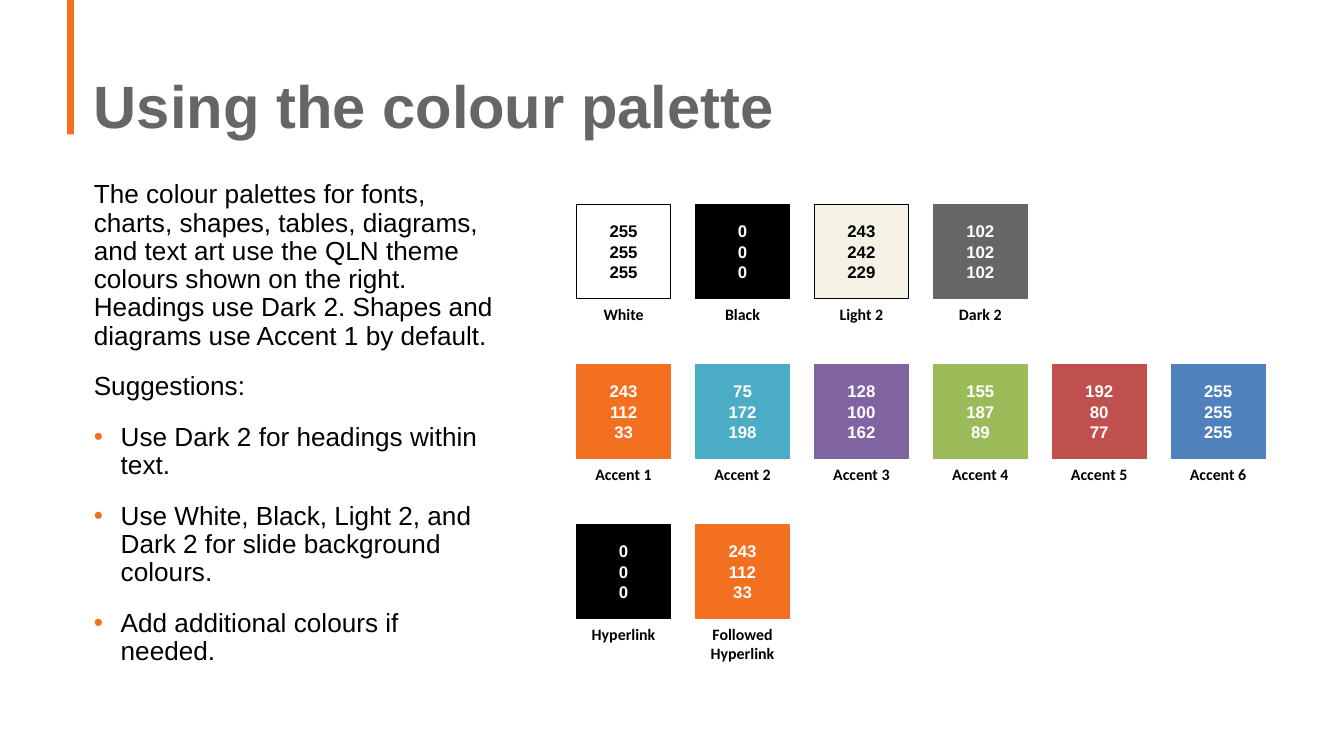
"""Build the colour palette slide."""
from lxml import etree
from pptx import Presentation
from pptx.dml.color import RGBColor
from pptx.enum import shapes, text
from pptx.oxml.ns import qn
from pptx.util import Pt

THEME = {
    "white": "FFFFFF", "black": "000000", "light": "F3F2E5", "dark": "666666",
    "orange": "F37021", "teal": "4BACC6", "purple": "8064A2",
    "green": "9BBB59", "red": "C0504D", "blue": "4F81BD",
    "sans": "Arial", "label": "Calibri",
    "head": 32, "body": 14, "value": 9, "name": 8.5,
}
TITLE = "Using the colour palette"
INTRO = [
    "The colour palettes for fonts, charts, shapes, tables, diagrams, and "
    "text art use the QLN theme colours shown on the right. Headings use "
    "Dark 2. Shapes and diagrams use Accent 1 by default.",
    "Suggestions:",
]
TIPS = [
    "Use Dark 2 for headings within text.",
    "Use White, Black, Light 2, and Dark 2 for slide background colours.",
    "Add additional colours if needed.",
]
ROWS = [
    [("White", "white", (255, 255, 255)), ("Black", "black", (0, 0, 0)),
     ("Light 2", "light", (243, 242, 229)), ("Dark 2", "dark", (102, 102, 102))],
    [("Accent 1", "orange", (243, 112, 33)), ("Accent 2", "teal", (75, 172, 198)),
     ("Accent 3", "purple", (128, 100, 162)), ("Accent 4", "green", (155, 187, 89)),
     ("Accent 5", "red", (192, 80, 77)), ("Accent 6", "blue", (255, 255, 255))],
    [("Hyperlink", "black", (0, 0, 0)),
     ("Followed Hyperlink", "orange", (243, 112, 33))],
]
PALE = ("white", "light")
LEFT, TOP, SIDE = 308.9, 109.5, 50.4
STEP, DROP = 63.7, 85.7
MID, BASE = text.MSO_ANCHOR.MIDDLE, text.MSO_ANCHOR.BOTTOM
CENTRE = text.PP_ALIGN.CENTER


def tint(key):
    return RGBColor.from_string(THEME[key])


def apply(item, vals):
    for key, val in vals.items():
        setattr(item, key, val)


def write(shape, lines, face, size, ink, frame=None, para=None, bold=True):
    body = shape.text_frame
    apply(body, {"word_wrap": True, **(frame or {})})
    for num, line in enumerate(lines):
        part = body.add_paragraph() if num else body.paragraphs[0]
        part.text = line
        apply(part, para or {})
        if num == 0:
            part.space_before = Pt(0)
        apply(part.font, {"name": THEME[face], "size": Pt(THEME[size]), "bold": bold})
        part.font.color.rgb = tint(ink)
    return body


def block(slide, spot, fill, edge=None):
    shape = slide.shapes.add_shape(shapes.MSO_SHAPE.RECTANGLE, *map(Pt, spot))
    shape.shadow.inherit = False
    shape.fill.solid()
    shape.fill.fore_color.rgb = tint(fill)
    if edge:
        shape.line.color.rgb = tint(edge)
        shape.line.width = Pt(0.25)
    else:
        shape.line.fill.background()
    return shape


def box(slide, *spot):
    return slide.shapes.add_textbox(*map(Pt, spot))


def bullet(part):
    props = part._p.get_or_add_pPr()
    apply_ind = {"marL": Pt(14.4), "indent": -Pt(14.4)}
    for key, val in apply_ind.items():
        props.set(key, str(int(val)))
    hue = etree.SubElement(props, qn("a:buClr"))
    etree.SubElement(hue, qn("a:srgbClr")).set("val", THEME["orange"])
    etree.SubElement(props, qn("a:buFont")).set("typeface", THEME["sans"])
    etree.SubElement(props, qn("a:buChar")).set("char", "•")


def prose(slide):
    shape = box(slide, 43.2, 93.6, 230.4, 273.6)
    body = shape.text_frame
    for _ in INTRO + TIPS[1:]:
        body.add_paragraph()
    lines = INTRO + TIPS
    for num, (part, line) in enumerate(zip(body.paragraphs, lines)):
        part.text = line
        apply(part, {"line_spacing": 0.9, "space_before": Pt(12 if num else 0)})
        if line in TIPS:
            bullet(part)
        apply(part.font, {"name": THEME["sans"], "size": Pt(THEME["body"])})
        part.font.color.rgb = tint("black")
    body.word_wrap = True


def swatch(slide, row, col, name, fill, vals):
    x, y = LEFT + col * STEP, TOP + row * DROP
    pale = fill in PALE
    tile = block(slide, (x, y, SIDE, SIDE), fill, "black" if pale else fill)
    write(tile, map(str, vals), "sans", "value", "black" if pale else "white",
          {"vertical_anchor": MID}, {"alignment": CENTRE})
    tag = box(slide, x, y + SIDE, SIDE, 28 if len(name) > 10 else 17.3)
    write(tag, [name], "label", "name", "black",
          {"margin_left": 0, "margin_right": 0}, {"alignment": CENTRE})


def main():
    deck = Presentation()
    apply(deck, {"slide_width": Pt(720), "slide_height": Pt(405)})
    slide = deck.slides.add_slide(deck.slide_layouts[6])
    block(slide, (36, 0, 3.6, 72), "orange")
    write(box(slide, 43.2, 7.2, 640.8, 72), [TITLE], "sans", "head", "dark",
          {"vertical_anchor": BASE}, {"line_spacing": 0.9})
    for row, tiles in enumerate(ROWS):
        for col, tile in enumerate(tiles):
            swatch(slide, row, col, *tile)
    prose(slide)
    deck.save("out.pptx")


if __name__ == "__main__":
    main()
